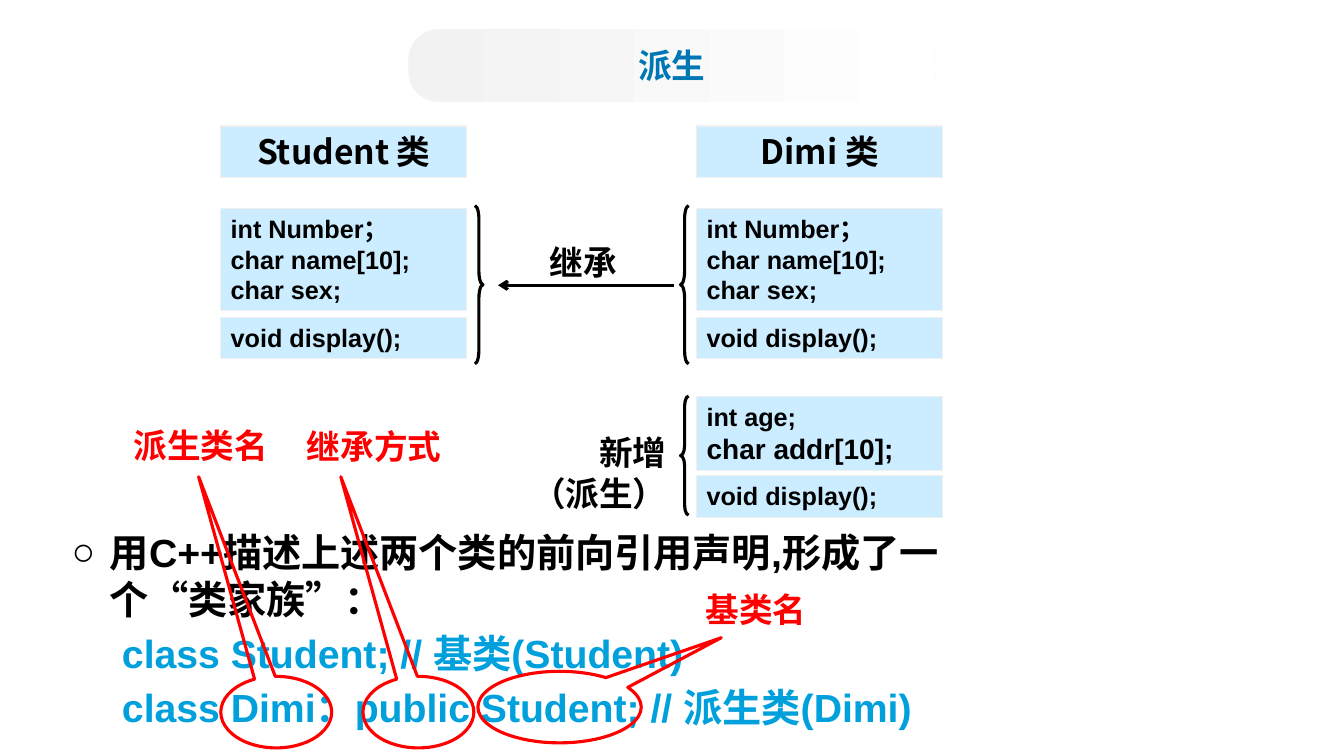
from dataclasses import dataclass

from lxml import etree
from pptx import Presentation
from pptx.dml.color import RGBColor
from pptx.enum.shapes import MSO_CONNECTOR, MSO_SHAPE
from pptx.enum.text import MSO_ANCHOR, MSO_AUTO_SIZE, PP_ALIGN
from pptx.oxml.ns import qn
from pptx.util import Inches, Pt

LEFT, CENTER, RIGHT = PP_ALIGN.LEFT, PP_ALIGN.CENTER, PP_ALIGN.RIGHT
TOP, MIDDLE = MSO_ANCHOR.TOP, MSO_ANCHOR.MIDDLE
FIXED = MSO_AUTO_SIZE.NONE
RECTANGLE, ROUNDED = MSO_SHAPE.RECTANGLE, MSO_SHAPE.ROUNDED_RECTANGLE
LEFT_BRACE, RIGHT_BRACE = MSO_SHAPE.LEFT_BRACE, MSO_SHAPE.RIGHT_BRACE
CALLOUT = MSO_SHAPE.OVAL_CALLOUT
STRAIGHT = MSO_CONNECTOR.STRAIGHT

BASE, DERIVED = "Student", "Dimi"


@dataclass(frozen=True)
class Theme:
    latin: str = "Arial"
    asian: str = "Noto Sans CJK SC"
    ink: str = "000000"
    title: str = "0077B5"
    code: str = "00A0DC"
    accent: str = "FF0000"
    panel: str = "CCECFF"
    panel_edge: str = "F0F0F0"
    band_start: str = "F2F2F2"
    band_end: str = "FFFFFF"
    member_size: int = 18
    wide_member_size: int = 20
    label_size: int = 24
    body_size: int = 28
    thin: float = 0.75
    thick: float = 2.25


THEME = Theme()


def color(value):
    return RGBColor.from_string(value)


def place(shape, left, top, width, height):
    shape.left, shape.top = Inches(left), Inches(top)
    shape.width, shape.height = Inches(width), Inches(height)


def prepare_frame(shape, anchor=TOP):
    frame = shape.text_frame
    frame.word_wrap = True
    frame.auto_size = FIXED
    frame.vertical_anchor = anchor
    return frame


def write(para, text, *, size=THEME.label_size, font=THEME.latin, ink=THEME.ink,
          align=LEFT, line_spacing=None, before=0):
    """Fill a paragraph with one formatted bold span."""
    para.alignment = align
    para.line_spacing = line_spacing
    para.space_before = Pt(before)
    span = para.add_run()
    span.text = text
    span.font.name = font
    span.font.size = Pt(size)
    span.font.bold = True
    span.font.color.rgb = color(ink)
    asian = etree.SubElement(span.font._element, qn("a:ea"))
    asian.set("typeface", THEME.asian)


def write_lines(frame, lines, **style):
    for index, line in enumerate(lines):
        para = frame.add_paragraph() if index else frame.paragraphs[0]
        write(para, line, **style)


def set_list_format(para, margin, indent, bullet=None):
    properties = para._p.get_or_add_pPr()
    properties.set("marL", str(Inches(margin)))
    properties.set("indent", str(Inches(indent)))
    if bullet:
        etree.SubElement(properties, qn("a:buChar")).set("char", bullet)
    else:
        etree.SubElement(properties, qn("a:buNone"))


def add_preset(page, kind, left, top, width, height):
    shape = page.shapes.add_shape(kind, Inches(left), Inches(top),
                                  Inches(width), Inches(height))
    shape.shadow.inherit = False
    return shape


def add_panel(page, left, top, height, lines, **style):
    box = add_preset(page, RECTANGLE, left, top, 2.44, height)
    box.fill.solid()
    box.fill.fore_color.rgb = color(THEME.panel)
    box.line.color.rgb = color(THEME.panel_edge)
    box.line.width = Pt(THEME.thin)
    frame = prepare_frame(box)
    write_lines(frame, lines, **style)
    return frame


def add_members(page, left, top, height, lines):
    return add_panel(page, left, top, height, lines, size=THEME.member_size)


def add_class(page, left, name):
    add_panel(page, left, 1.25, 0.51, [f"{name} 类"], font=THEME.asian, align=CENTER)
    add_members(page, left, 2.07, 1.01, ["int Number；", "char name[10];", "char sex;"])
    add_members(page, left, 3.15, 0.41, ["void display();"])


def add_outline(page, kind, left, top, width, height, ink, adjustments):
    shape = add_preset(page, kind, left, top, width, height)
    shape.fill.background()
    shape.line.color.rgb = color(ink)
    shape.line.width = Pt(THEME.thick)
    for index, value in enumerate(adjustments):
        shape.adjustments[index] = value


def add_brace(page, kind, left, top, height, curve):
    add_outline(page, kind, left, top, 0.08, height, THEME.ink, (curve, 0.5))


def add_label(page, left, top, width, height, lines, **style):
    box = page.shapes.add_textbox(Inches(left), Inches(top), Inches(width), Inches(height))
    write_lines(prepare_frame(box), lines, **style)


def add_arrow(page, start, end, level):
    arrow = page.shapes.add_connector(STRAIGHT, Inches(start), Inches(level),
                                      Inches(end), Inches(level))
    arrow.line.color.rgb = color(THEME.ink)
    arrow.line.width = Pt(THEME.thick)
    etree.SubElement(arrow.line._get_or_add_ln(), qn("a:tailEnd")).set("type", "arrow")
    etree.SubElement(arrow._element.spPr, qn("a:effectLst"))


def add_callout(page, text, label_at, oval_at, pointer):
    add_outline(page, CALLOUT, *oval_at, THEME.accent, pointer)
    add_label(page, *label_at, 2.28, 0.42, [text], ink=THEME.accent,
              align=CENTER, line_spacing=0.8)


def add_title(page, text):
    area = (4.05, 0.29, 5.23, 0.72)
    # Fading rounded band, sent behind the title
    band = add_preset(page, ROUNDED, *area)
    band.adjustments[0] = 0.42
    band.line.fill.background()
    band.fill.gradient()
    band.fill.gradient_angle = 0
    for stop, value in zip(band.fill.gradient_stops, (THEME.band_start, THEME.band_end)):
        stop.color.rgb = color(value)
    page.shapes._spTree.insert(2, band._element)
    title = page.shapes.title
    place(title, *area)
    write(prepare_frame(title, MIDDLE).paragraphs[0], text,
          font=THEME.asian, ink=THEME.title, align=CENTER)


def fill_body(body):
    place(body, 0.61, 5.19, 9.29, 2.2)
    frame = prepare_frame(body)
    intro = frame.paragraphs[0]
    set_list_format(intro, 0.38, -0.38, "○")
    write(intro, "用C++描述上述两个类的前向引用声明,形成了一个“类家族”：", size=THEME.body_size)
    for line in (f"class {BASE}; // 基类({BASE})",
                 f"class {DERIVED}：public {BASE}; // 派生类({DERIVED})"):
        para = frame.add_paragraph()
        para.level = 1
        set_list_format(para, 0.81, -0.31)
        write(para, line, size=THEME.body_size, ink=THEME.code, before=5)


def main():
    deck = Presentation()
    deck.slide_width, deck.slide_height = Inches(13.33), Inches(7.5)
    page = deck.slides.add_slide(deck.slide_layouts[1])
    add_title(page, "派生")
    fill_body(page.placeholders[1])

    # Base class and derived class
    derived_left = 6.91
    add_class(page, 2.19, BASE)
    add_class(page, derived_left, DERIVED)
    added = add_members(page, derived_left, 3.93, 0.74, ["int age;"])
    write(added.add_paragraph(), "char addr[10];", size=THEME.wide_member_size)
    add_members(page, derived_left, 4.72, 0.41, ["void display();"])

    # Inherited and added members
    add_brace(page, LEFT_BRACE, 6.75, 2.04, 1.57, 1.64)
    add_brace(page, RIGHT_BRACE, 4.71, 2.04, 1.57, 1.68)
    add_arrow(page, 6.68, 4.94, 2.83)
    add_label(page, 4.86, 2.35, 1.85, 0.5, ["继承"], align=CENTER)
    add_brace(page, LEFT_BRACE, 6.75, 3.93, 1.18, 1.23)
    add_label(page, 4.86, 4.24, 1.85, 0.9, ["新增", "（派生）"], align=RIGHT)

    # Callouts on the parts of the declaration
    upward = (-0.7, -3.29)
    add_callout(page, "派生类名", (0.85, 4.24), (2.19, 6.71, 1.1, 0.71), upward)
    add_callout(page, "继承方式", (2.57, 4.25), (3.6, 6.71, 1.1, 0.71), upward)
    add_callout(page, "基类名", (6.36, 5.87), (4.74, 6.66, 1.62, 0.71), (0.99, -0.97))

    deck.save("out.pptx")


if __name__ == "__main__":
    main()
